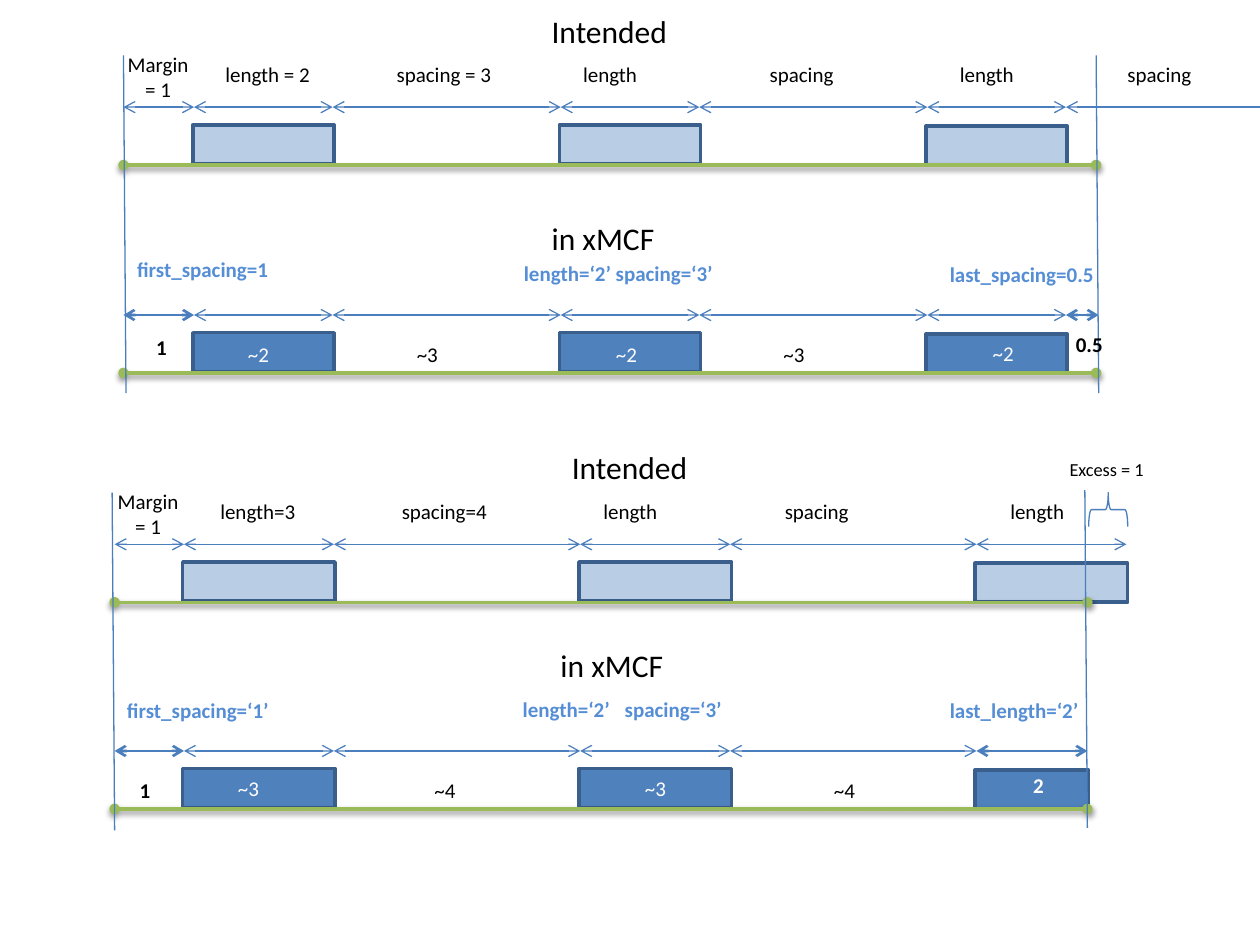
from dataclasses import dataclass
from itertools import accumulate, pairwise

from lxml import etree
from pptx import Presentation
from pptx.dml.color import RGBColor
from pptx.enum.shapes import MSO_CONNECTOR, MSO_SHAPE
from pptx.enum.text import MSO_AUTO_SIZE, PP_ALIGN
from pptx.oxml.ns import qn
from pptx.util import Inches, Pt

STRAIGHT = MSO_CONNECTOR.STRAIGHT
RECTANGLE = MSO_SHAPE.RECTANGLE
LEFT_BRACE = MSO_SHAPE.LEFT_BRACE
GROW = MSO_AUTO_SIZE.SHAPE_TO_FIT_TEXT
LEFT, CENTER = PP_ALIGN.LEFT, PP_ALIGN.CENTER


@dataclass(frozen=True)
class Theme:
    font: str = "Calibri"
    heading: float = 18
    label: float = 12
    small: float = 10.5
    black: str = "000000"
    white: str = "FFFFFF"
    accent: str = "558ED5"
    arrow: str = "4B7EBC"
    border: str = "3A5F8C"
    intended: str = "B9CDE5"
    actual: str = "4F81BD"
    base: str = "9BBB59"
    thin: float = 0.75
    strong: float = 1.5
    thick: float = 2


class Sketch:
    """Holds the theme and the current page."""

    def __init__(self, page, theme):
        self.page = page
        self.theme = theme

    def text(self, words, left, top, width, *, height=0.3, size=None, color=None,
             bold=False, align=LEFT, tab=None):
        theme = self.theme
        box = self.page.shapes.add_textbox(
            Inches(left), Inches(top), Inches(width), Inches(height))
        frame = box.text_frame
        frame.word_wrap = False
        frame.auto_size = GROW
        frame.text = words
        for para in frame.paragraphs:
            para.alignment = align
            if tab:
                tabs = etree.SubElement(para._p.get_or_add_pPr(), qn("a:tabLst"))
                etree.SubElement(tabs, qn("a:tab"), pos=str(Inches(tab)), algn="l")
            for span in para.runs:
                span.font.name = theme.font
                span.font.size = Pt(size or theme.label)
                span.font.bold = bold
                span.font.color.rgb = RGBColor.from_string(color or theme.black)

    def line(self, start, end, *, color=None, weight=None, ends=None, shadow=False):
        link = self.page.shapes.add_connector(
            STRAIGHT, *(Inches(value) for value in (*start, *end)))
        link.line.color.rgb = RGBColor.from_string(color or self.theme.arrow)
        link.line.width = Pt(weight or self.theme.thin)
        if ends:
            outline = link.line._get_or_add_ln()
            for tag in ("a:headEnd", "a:tailEnd"):
                etree.SubElement(outline, qn(tag), type=ends)
        effects = etree.SubElement(link._element.spPr, qn("a:effectLst"))
        if shadow:
            cast = etree.SubElement(effects, qn("a:outerShdw"), blurRad=str(Pt(3.1)),
                                    dist=str(Pt(1.6)), dir="5400000", rotWithShape="0")
            tint = etree.SubElement(cast, qn("a:srgbClr"), val=self.theme.black)
            etree.SubElement(tint, qn("a:alpha"), val="38000")

    def shape(self, kind, left, top, width, height, *, fill=None, border, weight):
        item = self.page.shapes.add_shape(
            kind, Inches(left), Inches(top), Inches(width), Inches(height))
        item.shadow.inherit = False
        if fill:
            item.fill.solid()
            item.fill.fore_color.rgb = RGBColor.from_string(fill)
        else:
            item.fill.background()
        item.line.color.rgb = RGBColor.from_string(border)
        item.line.width = Pt(weight)
        return item

    def row(self, edges, top, fill, *, base, strong=()):
        """Dimension arrows, the bars below every second one, and the base line."""
        theme = self.theme
        for index, (start, end) in enumerate(pairwise(edges)):
            self.line((start, top), (end, top), ends="arrow",
                      weight=theme.strong if index in strong else theme.thin)
            if index % 2:
                drop = 0.15 if index == 5 else 0.14
                self.shape(RECTANGLE, start - 0.01, top + drop, end - start + 0.02, 0.31,
                           fill=fill, border=theme.border, weight=theme.thick)
        self.line((base, top + 0.46), (base + 7.72, top + 0.46), color=theme.base,
                  weight=theme.thick, ends="oval", shadow=True)

    def guides(self, left, top, right_top):
        for x, y in ((left, top), (left + 7.72, right_top)):
            self.line((x, y), (x + 0.02, y + 2.68))

    def brace(self, left, top, width, height):
        item = self.shape(LEFT_BRACE, left, top, width, height,
                          border=self.theme.arrow, weight=self.theme.thin)
        item.rotation = 90


def spread(start, margin, length, spacing):
    """Edges of the margin and three bars with two gaps."""
    return list(accumulate([start, margin, length, spacing, length, spacing, length]))


def main():
    deck = Presentation()
    deck.slide_width, deck.slide_height = Inches(10), Inches(7.5)
    page = deck.slides.add_slide(deck.slide_layouts[6])
    theme = Theme()
    sketch = Sketch(page, theme)

    # Upper diagram: the last gap is cut short
    edges = spread(0.98, 0.56, 1.1, 1.81)
    sketch.row(edges + [10.28], 0.85, theme.intended, base=0.98)
    sketch.row(edges + [8.72], 2.5, theme.actual, base=0.98, strong=(0, 6))
    sketch.guides(0.98, 0.44, 0.44)

    # Lower diagram: the last bar is cut short
    edges = spread(0.91, 0.55, 1.19, 1.955)
    sketch.row(edges, 4.32, theme.intended, base=0.91)
    sketch.row(edges[:-1] + [8.63], 5.96, theme.actual, base=0.91, strong=(0, 5))
    sketch.guides(0.89, 3.91, 3.89)
    sketch.brace(8.66, 3.89, 0.27, 0.31)
    sketch.text("Excess = 1", 8.39, 3.59, 0.83, height=0.29, size=theme.small)

    # Row headings
    for words, left, top, width in (
            ("Intended", 4.28, 0.05, 1.13), ("in xMCF", 4.28, 1.69, 1.03),
            ("Intended", 4.44, 3.51, 1.13), ("in xMCF", 4.35, 5.08, 1.03)):
        sketch.text(words, left, top, width, height=0.4, size=theme.heading)

    # Names of the intended dimensions
    for left, top in ((0.91, 0.36), (0.83, 3.83)):
        sketch.text("Margin\n= 1", left, top, 0.69, height=0.5, align=CENTER)
    dimensions = {
        0.44: (("length = 2", 1.69, 0.91), ("spacing = 3", 3.05, 0.97),
               ("length", 4.53, 0.63), ("spacing", 6.01, 0.72),
               ("length", 7.52, 0.63), ("spacing", 8.85, 0.76)),
        3.91: (("length=3", 1.65, 0.83), ("spacing=4", 3.09, 0.89),
               ("length", 4.69, 0.63), ("spacing", 6.13, 0.71),
               ("length", 7.92, 0.63)),
    }
    for top, labels in dimensions.items():
        for words, left, width in labels:
            sketch.text(words, left, top, width)

    # xMCF attributes
    for words, left, top, width, tab in (
            ("first_spacing=1", 0.99, 1.99, 1.26, None),
            ("length=‘2’ spacing=‘3’", 4.06, 2.02, 1.73, None),
            ("last_spacing=0.5", 7.44, 2.03, 1.36, None),
            ("first_spacing=‘1’", 0.91, 5.49, 1.34, None),
            ("length=‘2’\tspacing=‘3’", 4.05, 5.48, 1.8, 0.81),
            ("last_length=‘2’", 7.44, 5.49, 1.23, None)):
        sketch.text(words, left, top, width, color=theme.accent, bold=True, tab=tab)

    # Resulting values: approximate ones plain, exact ones bold
    values = {
        theme.white: (("~2", 1.87, 2.66), ("~2", 4.79, 2.66), ("~2", 7.78, 2.65),
                      ("~3", 1.79, 6.11), ("~3", 5.02, 6.11), ("2", 8.1, 6.08)),
        theme.black: (("~3", 3.21, 2.66), ("~3", 6.12, 2.66), ("~4", 3.35, 6.12),
                      ("~4", 6.52, 6.12), ("1", 1.14, 2.61), ("0.5", 8.44, 2.58),
                      ("1", 1.01, 6.12)),
    }
    widths = {1: 0.29, 2: 0.37, 3: 0.42}
    for color, labels in values.items():
        for words, left, top in labels:
            sketch.text(words, left, top, widths[len(words)], color=color,
                        bold=not words.startswith("~"))

    deck.save("out.pptx")


if __name__ == "__main__":
    main()
